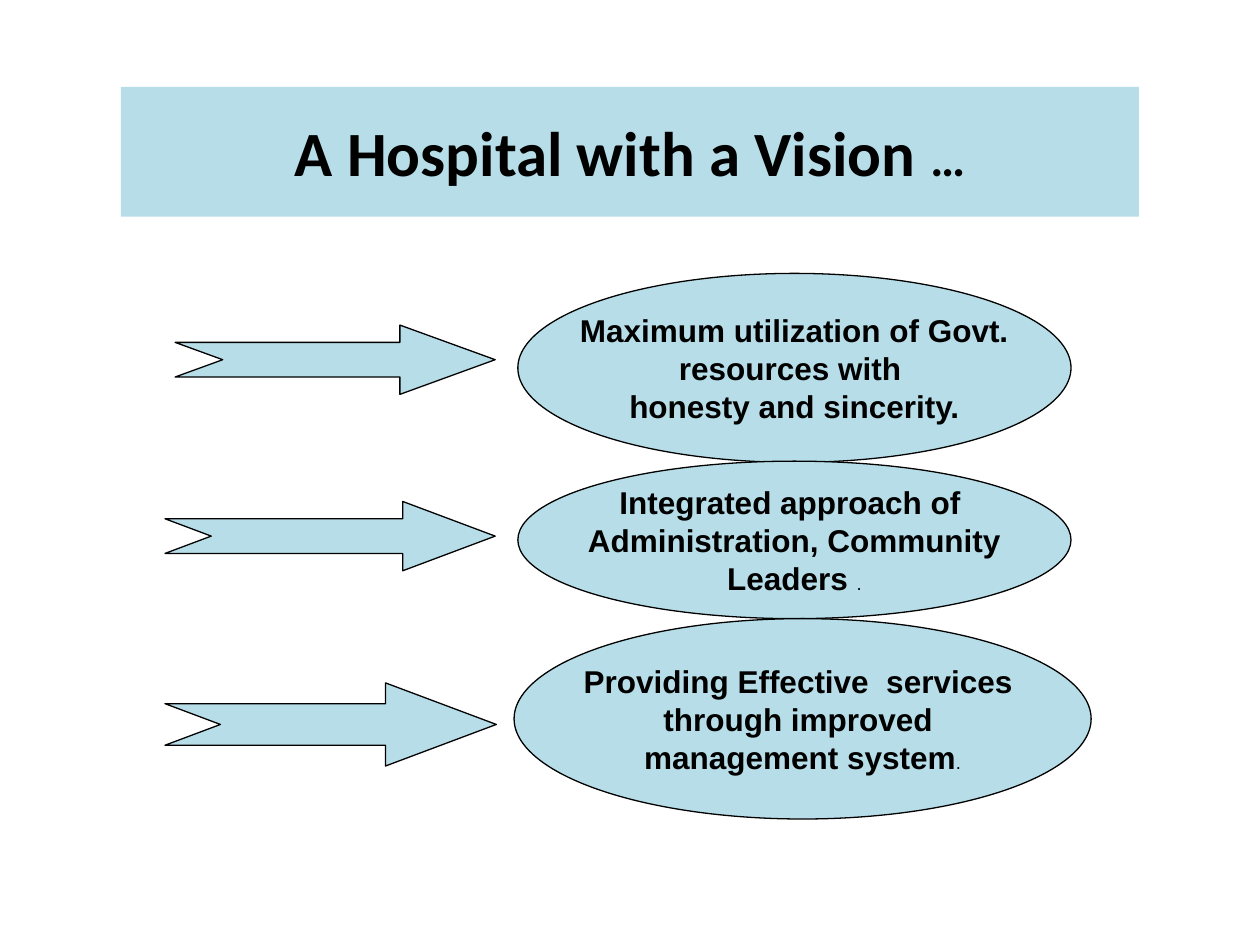
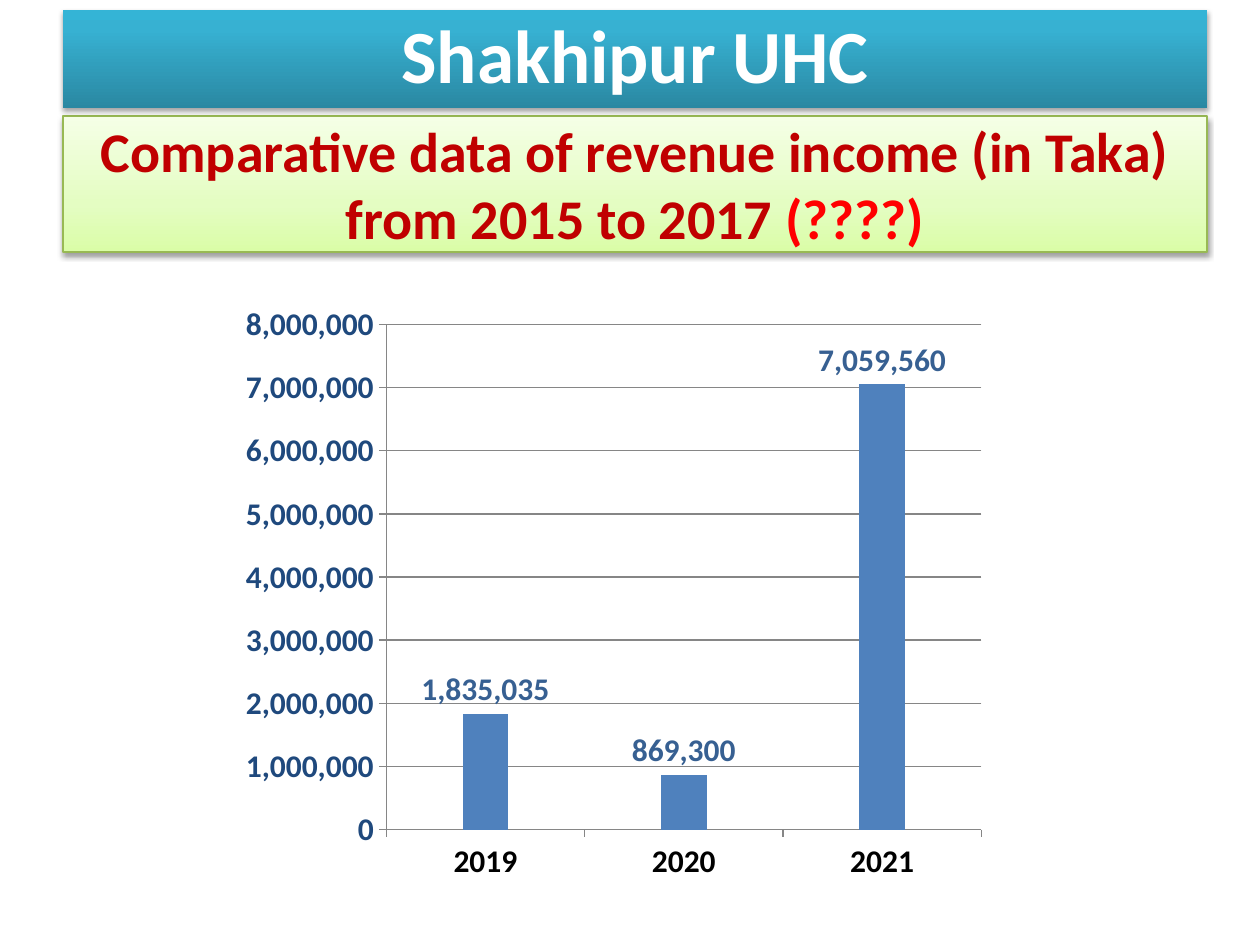
"""Build a two-slide deck: a hospital's vision and its revenue income."""
from lxml import etree
from pptx import Presentation
from pptx.chart.data import CategoryChartData
from pptx.dml.color import RGBColor
from pptx.enum.chart import XL_CHART_TYPE, XL_LABEL_POSITION, XL_TICK_MARK
from pptx.enum.shapes import MSO_SHAPE
from pptx.enum.text import MSO_ANCHOR, PP_ALIGN
from pptx.oxml.ns import qn
from pptx.util import Inches, Pt

RECT, OVAL, ARROW = MSO_SHAPE.RECTANGLE, MSO_SHAPE.OVAL, MSO_SHAPE.NOTCHED_RIGHT_ARROW
CENTER, MIDDLE = PP_ALIGN.CENTER, MSO_ANCHOR.MIDDLE
COLUMN, OUTSIDE_END = XL_CHART_TYPE.COLUMN_CLUSTERED, XL_LABEL_POSITION.OUTSIDE_END
TICK_OUT = XL_TICK_MARK.OUTSIDE
BLACK, WHITE, PALE_BLUE, AXIS_GRAY = "000000", "FFFFFF", "B7DEE8", "868686"
rgb = RGBColor.from_string


def add_box(s, kind, at, fill, line=None, lines=(), font="Calibri", wrap=True):
    """Add a shape; each line is a list of (text, size, colour) runs."""
    sp = s.shapes.add_shape(kind, *[Inches(v) for v in at])
    sp.shadow.inherit = False
    sp.fill.solid()
    sp.fill.fore_color.rgb = rgb(fill)
    if line:
        sp.line.color.rgb = rgb(line)
        sp.line.width = Pt(0.75)
    else:
        sp.line.fill.background()
    tf = sp.text_frame
    tf.word_wrap = wrap
    tf.vertical_anchor = MIDDLE
    for i, runs in enumerate(lines):
        p = tf.add_paragraph() if i else tf.paragraphs[0]
        p.alignment = CENTER
        for text, size, color in runs:
            r = p.add_run()
            r.text = text
            r.font.name, r.font.size, r.font.bold = font, Pt(size), size > 10.5
            r.font.color.rgb = rgb(color)
    return sp


def add_glow(sp, stops, alpha):
    """Give a shape an upward gradient and a soft shadow below."""
    sp.fill.gradient()
    sp.fill.gradient_angle = 90
    spPr = sp._element.spPr
    gs_list = spPr.find(".//" + qn("a:gsLst"))
    for gs in list(gs_list):
        gs_list.remove(gs)
    for pos, color in stops:
        gs = etree.SubElement(gs_list, qn("a:gs"), pos=str(pos * 1000))
        etree.SubElement(gs, qn("a:srgbClr"), val=color)
    shadow = etree.SubElement(spPr.find(qn("a:effectLst")), qn("a:outerShdw"),
                              blurRad=str(Pt(3.1)), dist=str(Pt(1.8)),
                              dir="5400000", rotWithShape="0")
    clr = etree.SubElement(shadow, qn("a:srgbClr"), val=BLACK)
    etree.SubElement(clr, qn("a:alpha"), val=str(alpha * 1000))


prs = Presentation()
prs.slide_width, prs.slide_height = Inches(10), Inches(7.5)
blank = prs.slide_layouts[6]

s = prs.slides.add_slide(blank)
add_box(s, RECT, (0.96, 0.69, 8.08, 1.03), PALE_BLUE,
        lines=[[("A Hospital with a Vision ", 36, BLACK), ("…", 28, BLACK)]])

goals = [
    ((1.39, 2.58, 2.54, 0.55), 1.375, (4.11, 2.17, 4.39, 1.5),
     ["Maximum utilization of Govt.", "resources with ", "honesty and sincerity."], ""),
    ((1.31, 3.98, 2.62, 0.55), 1.333, (4.11, 3.66, 4.39, 1.25),
     ["Integrated approach of ", "Administration, Community", "Leaders "], "."),
    ((1.31, 5.42, 2.63, 0.66), 1.333, (4.08, 4.91, 4.58, 1.59),
     ["Providing Effective  services ", "through improved ", "management system"], "."),
]
for arrow_at, head, oval_at, texts, stop in goals:
    sp = add_box(s, ARROW, arrow_at, PALE_BLUE, BLACK)
    sp.adjustments[1] = head
    lines = [[(text, 18, BLACK)] for text in texts]
    if stop:
        lines[-1].append((stop, 10.5, BLACK))
    add_box(s, OVAL, oval_at, PALE_BLUE, BLACK, lines, "Arial", False)

s = prs.slides.add_slide(blank)
sp = add_box(s, RECT, (0.5, 0.92, 9.08, 1.08), "E4FDC2", "98B954", [[
    ("Comparative data of revenue income (in Taka) from 2015 to 2017 ", 32, "C00000"),
    ("(????)", 32, "FF0000")]])
add_glow(sp, [(0, "DAFDA7"), (35, "E4FDC2"), (100, "F5FFE6")], 38)

data = CategoryChartData()
data.categories = ["2019", "2020", "2021"]
data.add_series("Series 1", [1835035, 869300, 7059560])
chart = s.shapes.add_chart(COLUMN, Inches(1.83), Inches(2.33), Inches(6.08),
                           Inches(4.75), data).chart
chart.has_legend = chart.has_title = False
chart.font.name, chart.font.size = "Calibri", Pt(18)
chart.font.color.rgb = rgb(BLACK)
for axis, color in ((chart.category_axis, BLACK), (chart.value_axis, "1F497D")):
    axis.major_tick_mark = TICK_OUT
    axis.format.line.color.rgb = rgb(AXIS_GRAY)
    font = axis.tick_labels.font
    font.name, font.size, font.bold = "Calibri", Pt(18), True
    font.color.rgb = rgb(color)
axis = chart.value_axis
axis.minimum_scale, axis.maximum_scale, axis.major_unit = 0, 8000000, 1000000
axis.has_major_gridlines = True
axis.major_gridlines.format.line.color.rgb = rgb(AXIS_GRAY)
axis.tick_labels.number_format = "#,##0"
axis.tick_labels.number_format_is_linked = False

plot = chart.plots[0]
plot.gap_width = 335
plot.vary_by_categories = False
fill = plot.series[0].format.fill
fill.solid()
fill.fore_color.rgb = rgb("4F81BD")
labels = plot.series[0].data_labels
labels.show_value = True
labels.position = OUTSIDE_END
labels.number_format = "#,##0"
labels.number_format_is_linked = False
labels.font.name, labels.font.size, labels.font.bold = "Calibri", Pt(18), True
labels.font.color.rgb = rgb("376092")

sp = add_box(s, RECT, (0.5, 0.08, 9.08, 0.78), "37B1D2",
             lines=[[("Shakhipur UHC", 42.9, WHITE)]])
sp.text_frame.paragraphs[0].line_spacing = 0.9
add_glow(sp, [(0, "2A88A2"), (80, "37B1D2"), (100, "34B4D6")], 35)

prs.save("out.pptx")
